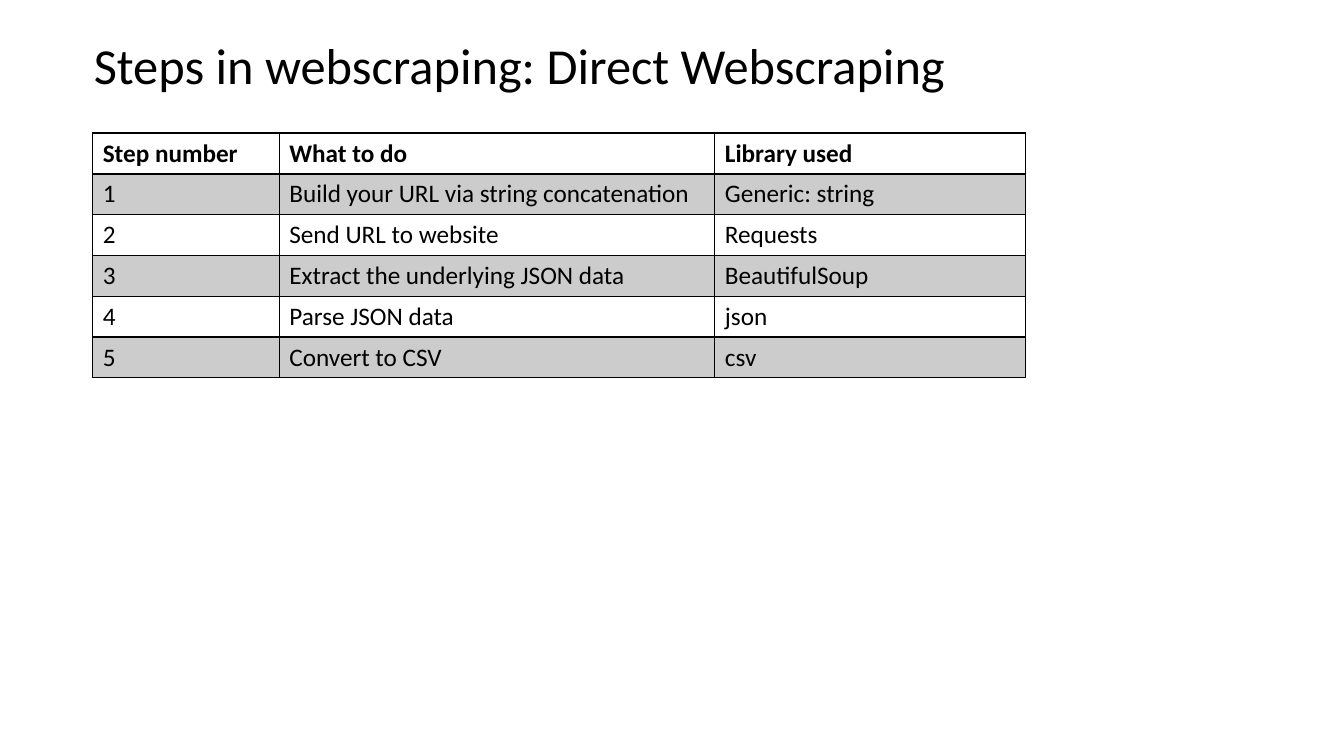
from lxml.etree import SubElement
from pptx import Presentation
from pptx.dml.color import RGBColor
from pptx.enum.text import MSO_ANCHOR, MSO_AUTO_SIZE, PP_ALIGN
from pptx.oxml.ns import qn
from pptx.util import Inches, Pt

BLACK = RGBColor(0x00, 0x00, 0x00)
FONT = "Calibri"
STEPS = [
    ("Step number", "What to do", "Library used"),
    ("1", "Build your URL via string concatenation", "Generic: string"),
    ("2", "Send URL to website", "Requests"),
    ("3", "Extract the underlying JSON data", "BeautifulSoup"),
    ("4", "Parse JSON data", "json"),
    ("5", "Convert to CSV", "csv"),
]
COL_WIDTHS = (1.85, 4.32, 3.08)
ROW_HEIGHT = 0.405


def add_run(p, text, size, bold=False):
    r = p.add_run()
    r.text = text
    r.font.name = FONT
    r.font.size = Pt(size)
    r.font.bold = bold
    r.font.color.rgb = BLACK


def add_border(cell, side, width):
    ln = SubElement(cell._tc.get_or_add_tcPr(), qn(f"a:ln{side}"), w=str(Pt(width)))
    SubElement(SubElement(ln, qn("a:solidFill")), qn("a:srgbClr"), val=str(BLACK))


prs = Presentation()
prs.slide_width = Inches(13.33)
prs.slide_height = Inches(7.5)
s = prs.slides.add_slide(prs.slide_layouts[5])

title = s.shapes.title
title.left, title.top = Inches(0.83), Inches(0.28)
title.width, title.height = Inches(11.48), Inches(0.71)
tf = title.text_frame
tf.word_wrap = True
tf.auto_size = MSO_AUTO_SIZE.SHAPE_TO_FIT_TEXT
tf.vertical_anchor = MSO_ANCHOR.MIDDLE
p = tf.paragraphs[0]
p.alignment = PP_ALIGN.LEFT
add_run(p, "Steps in webscraping: Direct Webscraping", 36)

table = s.shapes.add_table(
    len(STEPS), len(COL_WIDTHS), Inches(0.92), Inches(1.32),
    Inches(sum(COL_WIDTHS)), Inches(ROW_HEIGHT * len(STEPS)),
).table
for col, width in zip(table.columns, COL_WIDTHS):
    col.width = Inches(width)

for i, step in enumerate(STEPS):
    table.rows[i].height = Inches(ROW_HEIGHT)
    for j, text in enumerate(step):
        cell = table.cell(i, j)
        add_run(cell.text_frame.paragraphs[0], text, 18, bold=i == 0)
        add_border(cell, "L", 1)
        add_border(cell, "R", 1)
        add_border(cell, "T", 2 if i == 1 else 1)
        add_border(cell, "B", 2 if i == 0 else 1)
        if i % 2:
            cell.fill.solid()
            cell.fill.fore_color.rgb = BLACK
            clr = cell._tc.tcPr.find(qn("a:solidFill")).find(qn("a:srgbClr"))
            SubElement(clr, qn("a:alpha"), val="20000")
        else:
            cell.fill.background()

prs.save("out.pptx")
